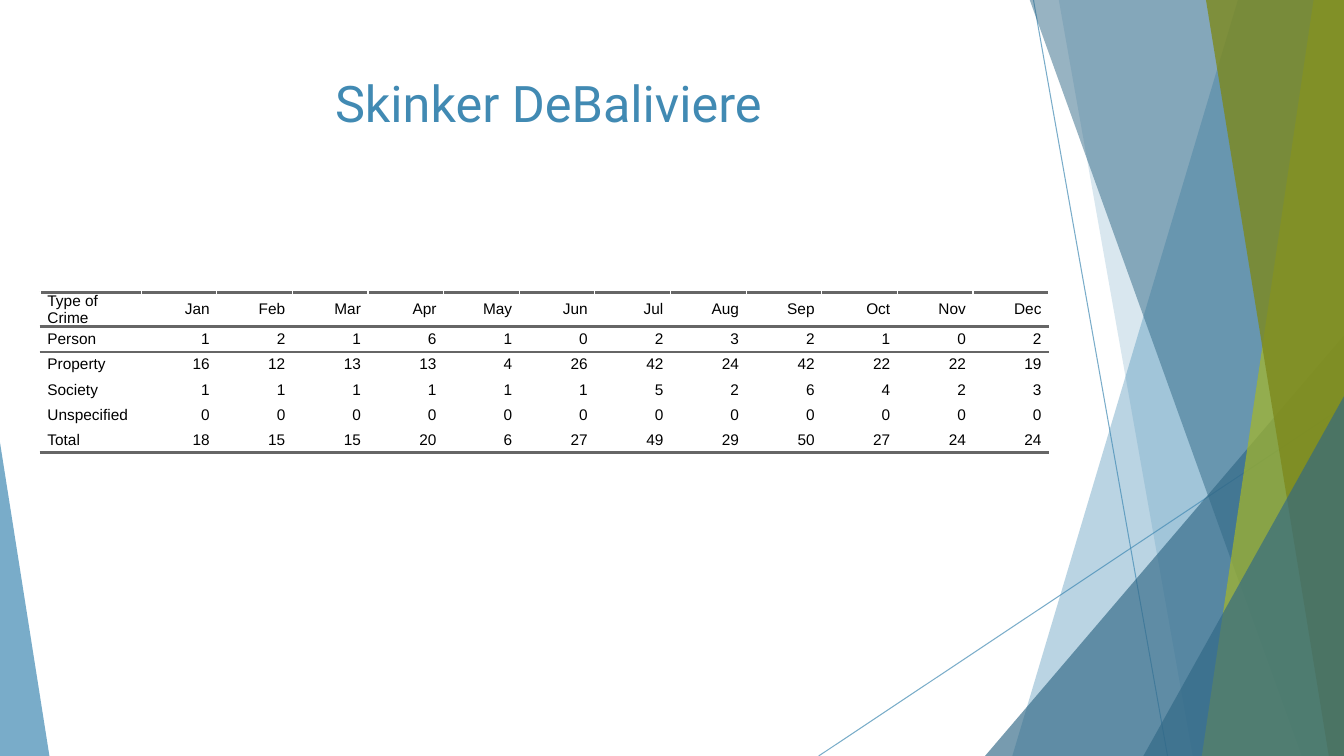
"""Builds a slide with a monthly crime table beside overlapping translucent facets."""
from dataclasses import dataclass

from lxml import etree
from pptx import Presentation
from pptx import util as u
from pptx.dml.color import RGBColor
from pptx.enum import shapes, text
from pptx.oxml import ns

WIDTH, HEIGHT = 13.33, 7.5
TOP = -0.01
BLUE, DEEP_BLUE, LIME, OLIVE = "418AB3", "316886", "A6B727", "7D891D"
RULE_COLOUR = "666666"
MONTHS = "Jan Feb Mar Apr May Jun Jul Aug Sep Oct Nov Dec".split()
CRIMES = {
    "Type of Crime": MONTHS,
    "Person": [1, 2, 1, 6, 1, 0, 2, 3, 2, 1, 0, 2],
    "Property": [16, 12, 13, 13, 4, 26, 42, 24, 42, 22, 22, 19],
    "Society": [1, 1, 1, 1, 1, 1, 5, 2, 6, 4, 2, 3],
    "Unspecified": [0] * 12,
    "Total": [18, 15, 15, 20, 6, 27, 49, 29, 50, 27, 24, 24],
}
RULED_EDGES = {0: ("lnT", "lnB"), 1: ("lnT",), len(CRIMES) - 1: ("lnB",)}


@dataclass
class Ray:
    start: tuple[float, float]
    end: tuple[float, float]


@dataclass
class Facet:
    """A band reaching from two slanted points to the right edge."""
    top_x: float
    bottom_x: float
    colour: str
    opacity: int


@dataclass
class Peak:
    left: float
    top: float
    width: float
    apex: float
    colour: str
    opacity: int


RAYS = [Ray((10.25, 0), (11.58, HEIGHT)), Ray((WIDTH, 4.03), (8.12, HEIGHT))]
DECORATIONS = [
    Facet(12.28, 10.04, BLUE, 36),
    Facet(10.5, 11.83, BLUE, 20),
    Peak(9.77, 3.33, 3.56, 1, DEEP_BLUE, 66),
    Facet(10.21, 12.91, DEEP_BLUE, 50),
    Facet(13.03, 11.92, LIME, 70),
    Facet(11.96, 13.18, OLIVE, 80),
    Peak(11.34, 3.93, 1.99, 1, DEEP_BLUE, 66),
    Peak(0, 4.39, 0.49, 0, BLUE, 70),
]


def rgb(colour: str) -> RGBColor:
    return RGBColor.from_string(colour)


def set_opacity(shape, percent: int) -> None:
    for colour in shape.element.xpath(".//a:srgbClr"):
        etree.SubElement(colour, ns.qn("a:alpha"), val=str(percent * 1000))


def draw_ray(slide, ray: Ray) -> None:
    line = slide.shapes.add_connector(
        shapes.MSO_CONNECTOR.STRAIGHT, *map(u.Inches, ray.start + ray.end))
    line.line.color.rgb = rgb(BLUE)
    line.line.width = u.Pt(0.75)
    set_opacity(line, 70)
    etree.SubElement(line.element.spPr, ns.qn("a:effectLst"))


def draw_decoration(slide, part: Facet | Peak) -> None:
    if isinstance(part, Facet):
        outline = slide.shapes.build_freeform(u.Inches(part.top_x), u.Inches(TOP))
        corners = [(WIDTH, TOP), (WIDTH, HEIGHT), (part.bottom_x, HEIGHT)]
        outline.add_line_segments([(u.Inches(x), u.Inches(y)) for x, y in corners])
        shape = outline.convert_to_shape()
    else:
        box = (part.left, part.top, part.width, HEIGHT - part.top)
        shape = slide.shapes.add_shape(
            shapes.MSO_SHAPE.ISOSCELES_TRIANGLE, *map(u.Inches, box))
        shape.adjustments[0] = part.apex
    shape.shadow.inherit = False
    shape.fill.solid()
    shape.fill.fore_color.rgb = rgb(part.colour)
    shape.line.fill.background()
    set_opacity(shape, part.opacity)


def write(frame, words: str, *, size: float, font: str, colour: str,
          align=text.PP_ALIGN.LEFT, spacing: float = 0, indent: float = 0) -> None:
    frame.word_wrap = True
    paragraph = frame.paragraphs[0]
    paragraph.alignment = align
    paragraph.space_before = paragraph.space_after = u.Pt(spacing)
    if indent:
        properties = paragraph.runs and None or paragraph._p.get_or_add_pPr()
        for side in ("marL", "marR"):
            properties.set(side, str(u.Inches(indent)))
        properties.set("indent", "0")
    run = paragraph.add_run()
    run.text = words
    run.font.size = u.Pt(size)
    run.font.name = font
    run.font.color.rgb = rgb(colour)


def rule_cell(cell, edges: tuple[str, ...]) -> None:
    properties = cell._tc.get_or_add_tcPr()
    for position, edge in enumerate(edges):
        line = etree.Element(ns.qn(f"a:{edge}"), w=str(u.Pt(2)))
        fill = etree.SubElement(line, ns.qn("a:solidFill"))
        etree.SubElement(fill, ns.qn("a:srgbClr"), val=RULE_COLOUR)
        properties.insert(position, line)


def draw_crime_table(slide) -> None:
    columns = len(MONTHS) + 1
    table = slide.shapes.add_table(
        len(CRIMES), columns, u.Inches(0.4), u.Inches(2.9),
        u.Inches(10), u.Inches(0.25 * len(CRIMES))).table
    table.first_row = table.horz_banding = False
    for index, column in enumerate(table.columns):
        column.width = u.Inches(0.75 if index else 1)
    for row, (crime, counts) in enumerate(CRIMES.items()):
        for column, value in enumerate([crime, *counts]):
            cell = table.cell(row, column)
            cell.margin_left = cell.margin_right = 0
            cell.margin_top = cell.margin_bottom = 0
            cell.vertical_anchor = text.MSO_ANCHOR.MIDDLE
            cell.fill.background()
            write(cell.text_frame, str(value), size=11, font="Arial",
                  colour="000000", spacing=5, indent=0.07,
                  align=text.PP_ALIGN.RIGHT if column else text.PP_ALIGN.LEFT)
            rule_cell(cell, RULED_EDGES.get(row, ()))


def main() -> None:
    deck = Presentation()
    deck.slide_width, deck.slide_height = u.Inches(WIDTH), u.Inches(HEIGHT)
    slide = deck.slides.add_slide(deck.slide_layouts[6])
    for ray in RAYS:
        draw_ray(slide, ray)
    for part in DECORATIONS:
        draw_decoration(slide, part)
    draw_crime_table(slide)
    title = slide.shapes.add_textbox(*map(u.Inches, (0.74, 0.67, 9.4, 1.44)))
    write(title.text_frame, "Skinker DeBaliviere", size=36, font="Roboto",
          colour=BLUE, align=text.PP_ALIGN.CENTER)
    deck.save("out.pptx")


if __name__ == "__main__":
    main()
